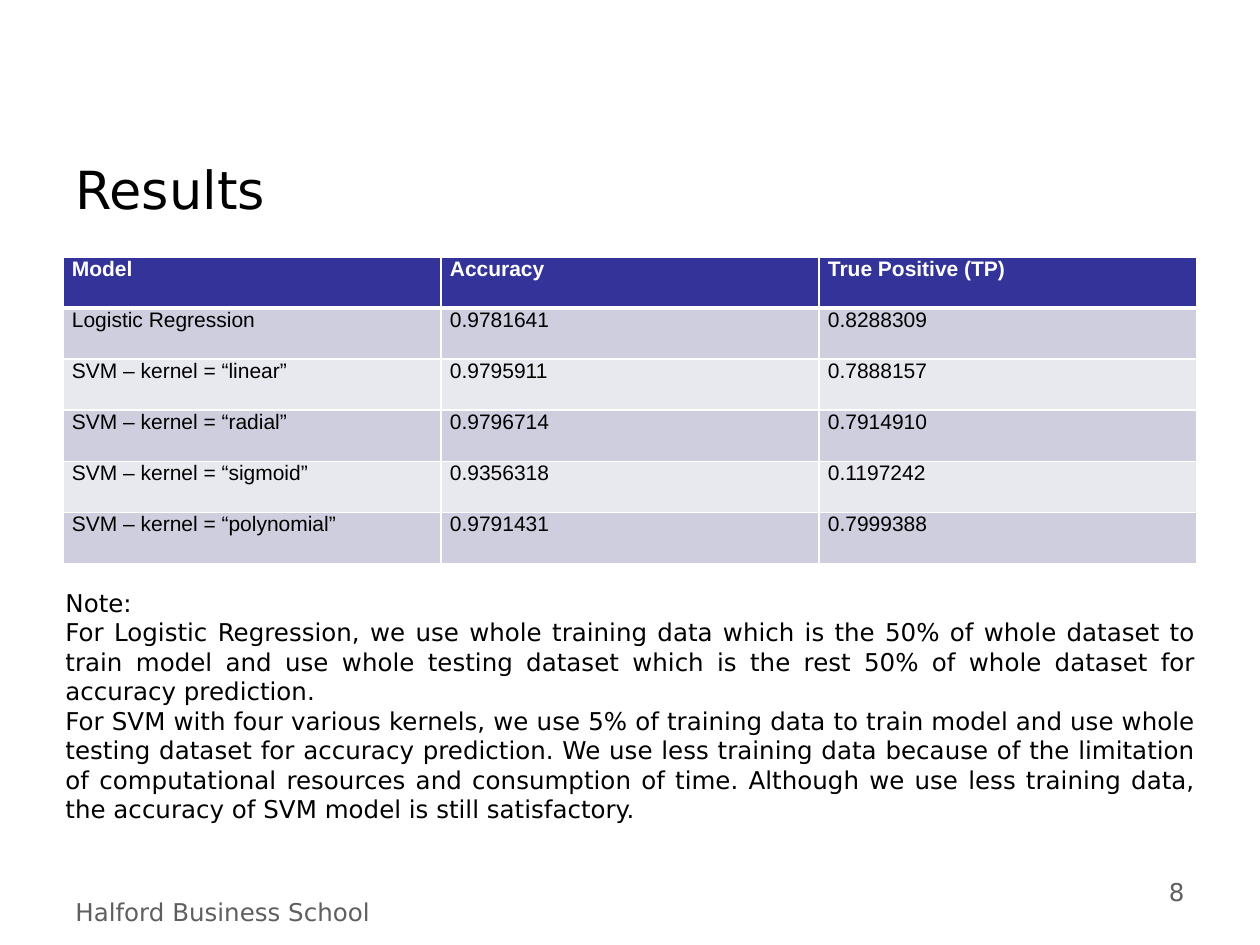
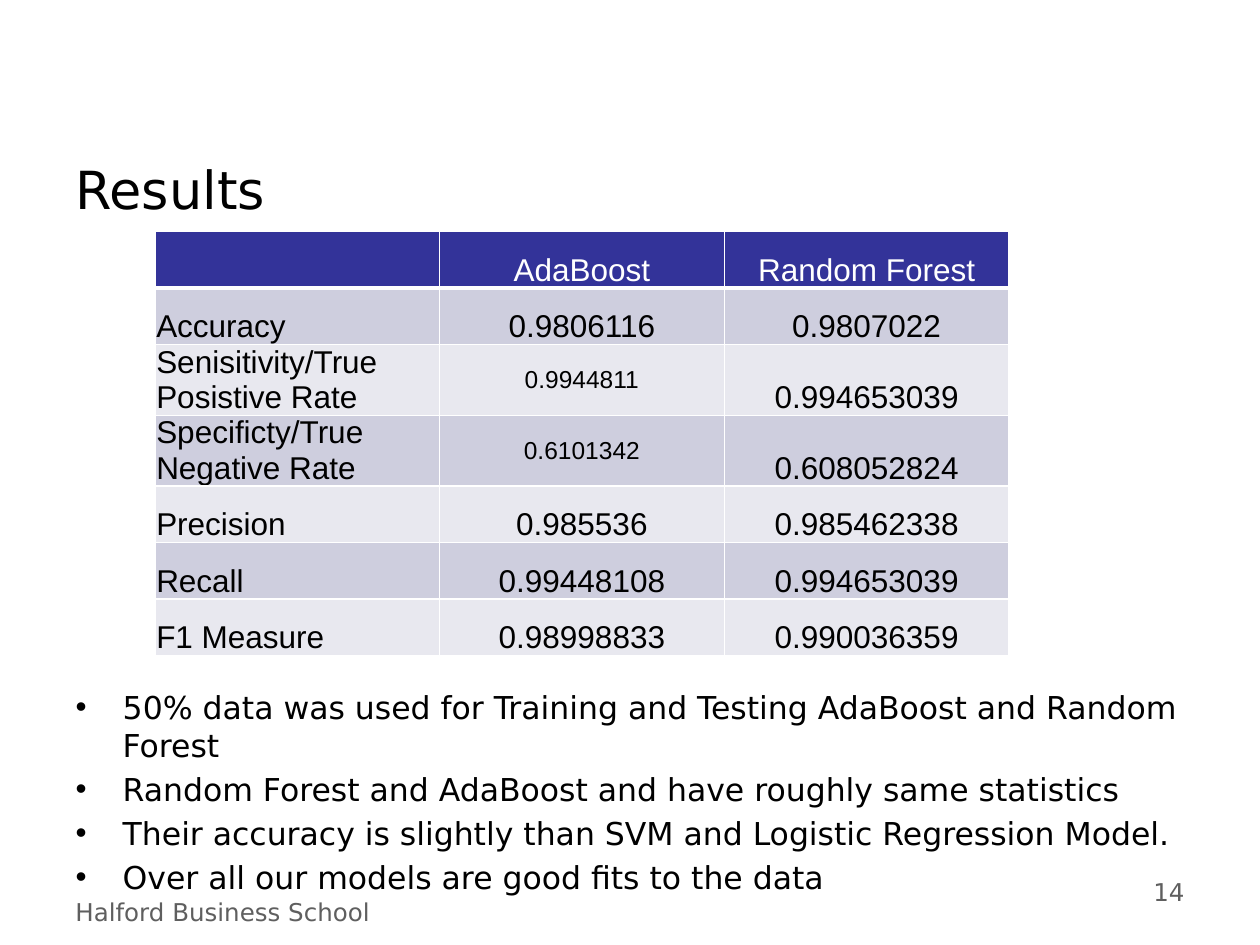
"""Build two results slides: a table on each, with a note or a list below."""
from dataclasses import dataclass

from lxml import etree
from pptx import Presentation
from pptx import util as u
from pptx.dml.color import RGBColor
from pptx.enum import text
from pptx.oxml import ns

ALIGN = text.PP_ALIGN
ANCHOR = text.MSO_ANCHOR


@dataclass(frozen=True)
class Theme:
    """Colours, fonts and type sizes shared by the slides."""
    ink: str = "000000"
    muted: str = "5F5F5F"
    paper: str = "FFFFFF"
    header: str = "333399"
    bands: tuple = ("CECEDE", "E8E8EF")
    font: str = "DejaVu Sans"
    table_font: str = "Arial"
    title_size: int = 30
    large: int = 18
    small: int = 14
    tiny: int = 12
    rule: int = 1
    header_rule: int = 3


THEME = Theme()
FOOTER = "Halford Business School"


def write(para, words, *, size, font=THEME.font, color=THEME.ink, bold=False,
          align=ALIGN.LEFT):
    """Add a formatted span of words to a paragraph."""
    para.alignment = align
    span = para.add_run()
    span.text = words
    span.font.name = font
    span.font.size = u.Pt(size)
    span.font.bold = bold
    span.font.color.rgb = RGBColor.from_string(color)


def fill_frame(frame, lines, **style):
    """Write each line as its own paragraph and return the paragraphs."""
    frame.word_wrap = True
    frame.auto_size = text.MSO_AUTO_SIZE.NONE
    for number, line in enumerate(lines):
        para = frame.add_paragraph() if number else frame.paragraphs[0]
        write(para, line, **style)
    return frame.paragraphs


def move(shape, left, top, width, height):
    """Place a shape; all lengths are in centimetres."""
    shape.left, shape.top = u.Cm(left), u.Cm(top)
    shape.width, shape.height = u.Cm(width), u.Cm(height)


def set_bullet(para, indent):
    """Give a paragraph a round bullet with a hanging indent."""
    props = para._p.get_or_add_pPr()
    props.set("marL", str(u.Cm(indent)))
    props.set("indent", str(-u.Cm(indent)))
    space = etree.SubElement(props, ns.qn("a:spcBef"))
    etree.SubElement(space, ns.qn("a:spcPct")).set("val", "20000")
    etree.SubElement(props, ns.qn("a:buFont")).set("typeface", THEME.table_font)
    etree.SubElement(props, ns.qn("a:buChar")).set("char", "•")


def set_borders(cell, top, bottom):
    """Draw the four cell borders; the widths are in points."""
    props = cell._tc.get_or_add_tcPr()
    widths = {"lnL": THEME.rule, "lnR": THEME.rule, "lnT": top, "lnB": bottom}
    for side, width in widths.items():
        line = etree.SubElement(props, ns.qn(f"a:{side}"))
        line.set("w", str(u.Pt(width)))
        fill = etree.SubElement(line, ns.qn("a:solidFill"))
        etree.SubElement(fill, ns.qn("a:srgbClr")).set("val", THEME.paper)


class ResultsDeck:
    """Holds the deck and the current page, and draws its elements."""

    def __init__(self):
        """Start an empty deck of 4:3 pages."""
        self.deck = Presentation()
        self.deck.slide_width, self.deck.slide_height = u.Cm(25.4), u.Cm(19.05)
        self.page = None

    def start_page(self, title, number, layout):
        """Add a page with its title, footer and page number."""
        self.page = self.deck.slides.add_slide(
            self.deck.slide_layouts.get_by_name(layout))
        box = self.page.shapes.title
        move(box, 1.27, 2.69, 22.86, 2.24)
        box.text_frame.vertical_anchor = ANCHOR.MIDDLE
        fill_frame(box.text_frame, [title], size=THEME.title_size)
        self.add_text([FOOTER], (1.27, 17.96, 9.42, 0.84), color=THEME.muted)
        self.add_text([str(number)], (18.21, 17.55, 5.92, 1.32),
                      color=THEME.muted, align=ALIGN.RIGHT)

    def add_text(self, lines, place, **style):
        """Add a text box of small type."""
        box = self.page.shapes.add_textbox(0, 0, 0, 0)
        move(box, *place)
        fill_frame(box.text_frame, lines, size=THEME.small, **style)

    def add_list(self, lines, place):
        """Fill the body placeholder with a bulleted list."""
        box = self.page.placeholders[1]
        move(box, *place)
        for para in fill_frame(box.text_frame, lines, size=THEME.large):
            set_bullet(para, 0.95)

    def add_table(self, rows, left, top, column, row, style_cell):
        """Add a banded table; style_cell(r, c) gives inset, anchor and type."""
        across, down = len(rows[0]), len(rows)
        table = self.page.shapes.add_table(
            down, across, u.Cm(left), u.Cm(top),
            u.Cm(column * across), u.Cm(row * down)).table
        table.horz_banding = False
        for each in table.columns:
            each.width = u.Cm(column)
        for r, values in enumerate(rows):
            table.rows[r].height = u.Cm(row)
            for c, value in enumerate(values):
                self.fill_cell(table.cell(r, c), r, value, **style_cell(r, c))

    def fill_cell(self, cell, r, value, inset, anchor, **style):
        """Format one cell and write its value."""
        set_borders(cell, THEME.header_rule if r == 1 else THEME.rule,
                    THEME.rule if r else THEME.header_rule)
        cell.fill.solid()
        cell.fill.fore_color.rgb = RGBColor.from_string(
            THEME.bands[(r - 1) % 2] if r else THEME.header)
        cell.margin_left = cell.margin_right = u.Cm(inset)
        cell.margin_top = cell.margin_bottom = 0
        cell.vertical_anchor = anchor
        if value:
            write(cell.text_frame.paragraphs[0], value, font=THEME.table_font,
                  color=THEME.ink if r else THEME.paper, **style)


def model_cell(r, c):
    """Style a cell of the model table: small, top, bold header."""
    return dict(inset=0.18, anchor=ANCHOR.TOP, size=THEME.tiny, bold=r == 0,
                align=ALIGN.JUSTIFY)


def ensemble_cell(r, c):
    """Style a cell of the ensemble table; two rates are smaller and centred."""
    small = c == 1 and r in (2, 3)
    return dict(inset=0.03, anchor=ANCHOR.MIDDLE if small else ANCHOR.BOTTOM,
                size=THEME.small if small else THEME.large,
                align=ALIGN.CENTER if c else ALIGN.LEFT)


MODELS = [
    ("Model", "Accuracy", "True Positive (TP)"),
    ("Logistic Regression", "0.9781641", "0.8288309"),
    ("SVM – kernel = “linear”", "0.9795911", "0.7888157"),
    ("SVM – kernel = “radial”", "0.9796714", "0.7914910"),
    ("SVM – kernel = “sigmoid”", "0.9356318", "0.1197242"),
    ("SVM – kernel = “polynomial”", "0.9791431", "0.7999388"),
]
NOTE = [
    "Note:",
    "For Logistic Regression, we use whole training data which is the 50% of "
    "whole dataset to train model and use whole testing dataset which is the "
    "rest 50% of whole dataset for accuracy prediction.",
    "For SVM with four various kernels, we use 5% of training data to train "
    "model and use whole testing dataset for accuracy prediction. We use less "
    "training data because of the limitation of computational resources and "
    "consumption of time. Although we use less training data, the accuracy of "
    "SVM model is still satisfactory.",
]
ENSEMBLES = [
    ("", "AdaBoost", "Random Forest"),
    ("Accuracy", "0.9806116", "0.9807022"),
    ("Senisitivity/True Posistive Rate", "0.9944811", "0.994653039"),
    ("Specificty/True Negative Rate", "0.6101342", "0.608052824"),
    ("Precision", "0.985536", "0.985462338"),
    ("Recall", "0.99448108", "0.994653039"),
    ("F1 Measure", "0.98998833", "0.990036359"),
]
FINDINGS = [
    "50% data was used for Training and Testing AdaBoost and Random Forest",
    "Random Forest and AdaBoost and have roughly same statistics",
    "Their accuracy is slightly than SVM and Logistic Regression Model.",
    "Over all our models are good fits to the data",
]


def main():
    """Build both pages and save the deck."""
    results = ResultsDeck()
    results.start_page("Results", 8, "Title Only")
    results.add_text(NOTE, (1.07, 11.73, 23.29, 5.82), align=ALIGN.JUSTIFY)
    results.add_table(MODELS, 1.27, 5.18, 7.62, 1.03, model_cell)

    results.start_page("Results", 14, "Title and Content")
    results.add_list(FINDINGS, (1.27, 13.74, 22.86, 3.51))
    results.add_table(ENSEMBLES, 3.12, 4.67, 5.74, 1.14, ensemble_cell)
    results.deck.save("out.pptx")


main()
